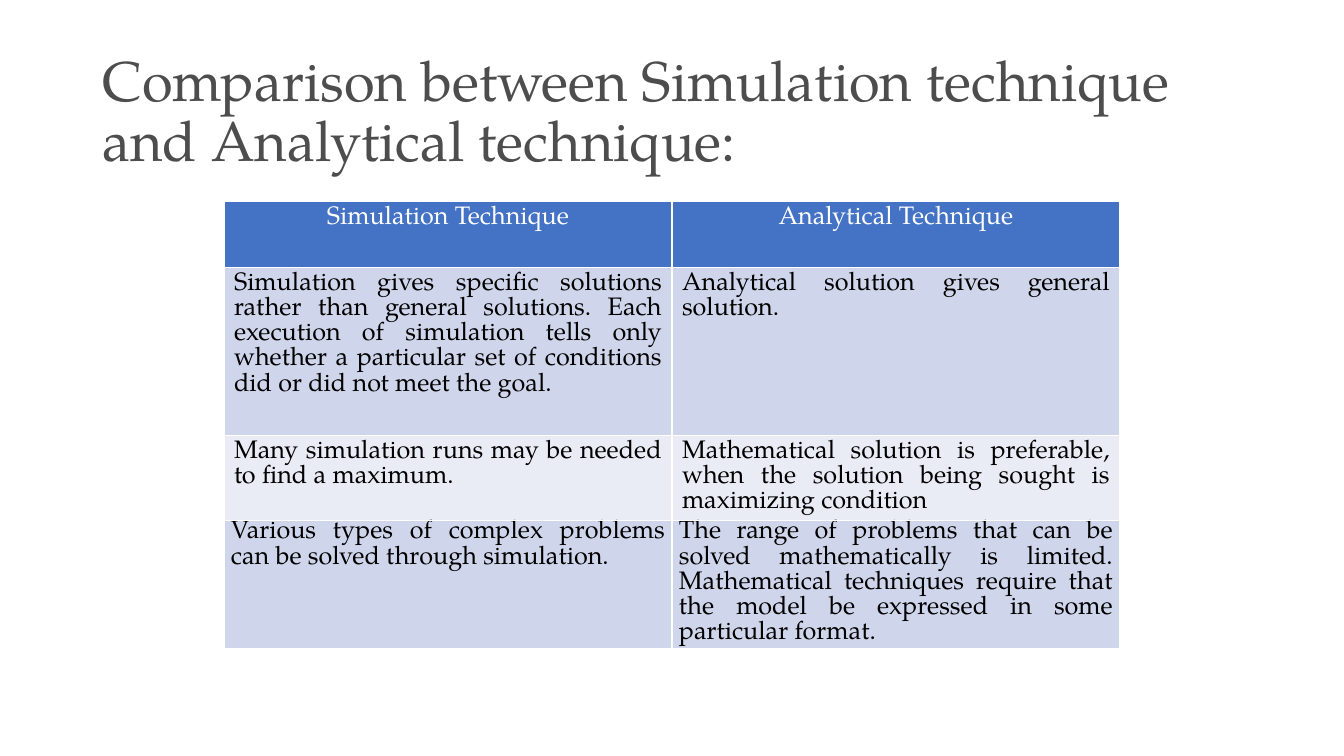
from dataclasses import dataclass

from lxml.etree import SubElement
from pptx import Presentation
from pptx.dml.color import RGBColor as Rgb
from pptx.enum.text import MSO_ANCHOR as Anchor, MSO_AUTO_SIZE as Fit, PP_ALIGN as Align
from pptx.oxml.ns import qn
from pptx.util import Pt


@dataclass(frozen=True)
class Theme:
    font: str = "TeX Gyre Pagella"
    title: int = 40
    body: int = 18
    gray: str = "4D4D4D"
    white: str = "FFFFFF"
    black: str = "000000"
    head: str = "4472C4"
    bands: tuple = ("CFD5EA", "E9EBF5")


theme = Theme()


def write(frame, text, size=theme.body, color=theme.black, align=Align.JUSTIFY, space=Pt(18)):
    par = frame.paragraphs[0]
    par.alignment, par.line_spacing = align, space
    run = par.add_run()
    run.text = text
    run.font.name, run.font.size = theme.font, Pt(size)
    run.font.color.rgb = Rgb.from_string(color)


def edge(cell):
    """Draw a thin white line on all four sides; call before filling the cell."""
    props = cell._tc.get_or_add_tcPr()
    for side in ("lnL", "lnR", "lnT", "lnB"):
        line = SubElement(props, qn(f"a:{side}"), w=str(Pt(1)))
        fill = SubElement(line, qn("a:solidFill"))
        SubElement(fill, qn("a:srgbClr"), val=theme.white)


deck = Presentation()
deck.slide_width, deck.slide_height = Pt(960), Pt(540)
slide = deck.slides.add_slide(deck.slide_layouts[5])

title = slide.shapes.title
title.left, title.top, title.width, title.height = Pt(66), Pt(28.75), Pt(828), Pt(104.4)
frame = title.text_frame
frame.auto_size, frame.vertical_anchor = Fit.NONE, Anchor.MIDDLE
write(frame, "Comparison between Simulation technique and Analytical technique:",
      size=theme.title, color=theme.gray, align=Align.LEFT, space=0.9)

rows = [
    ("Simulation Technique", "Analytical Technique"),
    ("Simulation gives specific solutions rather than general solutions. Each execution of "
     "simulation tells only whether a particular set of conditions did or did not meet the goal.",
     "Analytical solution gives general solution."),
    ("Many simulation runs may be needed to find a maximum.",
     "Mathematical solution is preferable, when the solution being sought is "
     "maximizing condition"),
    ("Various types of complex problems can be solved through simulation.",
     "The range of problems that can be solved mathematically is limited. Mathematical "
     "techniques require that the model be expressed in some particular format."),
]
tall = (46.8, 120, 61.2, 91)

grid = slide.shapes.add_table(len(rows), 2, Pt(160), Pt(144), Pt(640), Pt(sum(tall))).table
for col in grid.columns:
    col.width = Pt(320)

for r, (texts, high) in enumerate(zip(rows, tall)):
    grid.rows[r].height = Pt(high)
    for c, text in enumerate(texts):
        cell = grid.cell(r, c)
        edge(cell)
        cell.fill.solid()
        cell.fill.fore_color.rgb = Rgb.from_string(theme.bands[(r - 1) % 2] if r else theme.head)
        if r == len(rows) - 1:
            cell.margin_left = cell.margin_right = Pt(5)
            cell.margin_top = cell.margin_bottom = 0
        if r:
            write(cell.text_frame, text)
        else:
            write(cell.text_frame, text, color=theme.white, align=Align.CENTER)
            cell.text_frame.paragraphs[0].runs[0].font.bold = False

deck.save("out.pptx")
